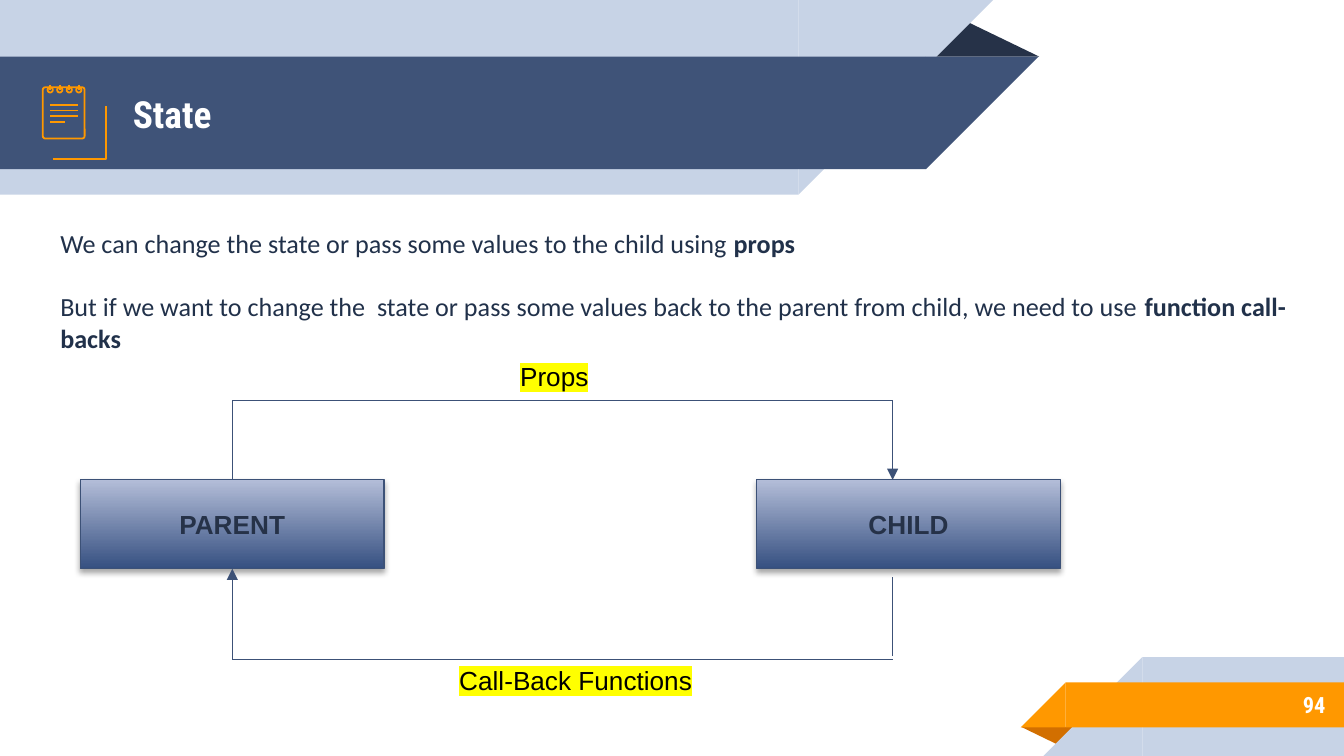
from lxml import etree
from pptx import Presentation
from pptx.dml.color import RGBColor
from pptx.enum.shapes import MSO_CONNECTOR, MSO_SHAPE
from pptx.enum.text import MSO_ANCHOR, PP_ALIGN
from pptx.oxml.ns import qn
from pptx.util import Cm, Pt

RECT, OVAL, ROUND = MSO_SHAPE.RECTANGLE, MSO_SHAPE.OVAL, MSO_SHAPE.ROUNDED_RECTANGLE
CORNER, FOLD = MSO_SHAPE.RIGHT_TRIANGLE, MSO_SHAPE.ISOSCELES_TRIANGLE
STRAIGHT = MSO_CONNECTOR.STRAIGHT
TOP, MIDDLE = MSO_ANCHOR.TOP, MSO_ANCHOR.MIDDLE
LEFT, CENTER, RIGHT = PP_ALIGN.LEFT, PP_ALIGN.CENTER, PP_ALIGN.RIGHT

PALE = RGBColor(0xC7, 0xD3, 0xE6)
BLUE = RGBColor(0x3F, 0x53, 0x78)
NAVY = RGBColor(0x26, 0x32, 0x48)
ORANGE = RGBColor(0xFF, 0x98, 0x00)
RUST = RGBColor(0xD2, 0x6F, 0x00)
INK = RGBColor(0x21, 0x31, 0x4A)
EDGE = RGBColor(0x3C, 0x51, 0x77)
DEEP = RGBColor(0x36, 0x50, 0x81)
MIST = RGBColor(0xB3, 0xBD, 0xD8)
WHITE = RGBColor(0xFF, 0xFF, 0xFF)
BLACK = RGBColor(0, 0, 0)

HEAD = "Roboto Condensed"

# Content: lengths in cm
FOLDS = [(17.48, 0.36, 2.16, 0.71, 0, NAVY), (19.3, 13.74, 1.09, 0.36, 180, RUST)]
# left, top, width, height, colour, slanted end on the right?
BANDS = [
    [(0, 0, 15.09, 3.68, PALE, True), (0, 1.07, 17.5, 2.13, BLUE, True)],
    [(21.59, 12.42, 3.81, 1.87, PALE, False), (20.14, 12.9, 5.26, 0.85, ORANGE, False)],
]
BODY = [
    [("We can change the state or pass some values to the child using ", False),
     ("props", True)],
    [("But if we want to change the  state or pass some values back to the parent "
      "from child, we need to use ", False), ("function call-backs", True)],
]
NODES = [("PARENT", 1.52), ("CHILD", 14.3)]
NODE_Y, NODE_W, NODE_H = 9.07, 5.74, 1.68
LABELS = [("Props", 9.58, 6.68, 2.72), ("Call-Back Functions", 8.43, 12.42, 6.15)]
BACK = [(0.89, 2.67), (0.94, 2.72), (1.65, 2.72), (1.68, 2.67), (1.68, 1.78), (1.65, 1.75)]

prs = Presentation()
prs.slide_width, prs.slide_height = Cm(25.4), Cm(14.29)
slide = prs.slides.add_slide(prs.slide_layouts[6])
shapes = slide.shapes


def shape(kind, x, y, w, h, fill=None, turn=0):
    item = shapes.add_shape(kind, Cm(x), Cm(y), Cm(w), Cm(h))
    item.shadow.inherit = False
    item.rotation = turn
    if fill is None:
        item.fill.background()
    else:
        item.fill.solid()
        item.fill.fore_color.rgb = fill
        item.line.fill.background()
    return item


def stroke(item, color, width):
    item.line.color.rgb = color
    item.line.width = Pt(width)


def line(x1, y1, x2, y2, color=EDGE, width=0.75, arrow=False):
    item = shapes.add_connector(STRAIGHT, Cm(x1), Cm(y1), Cm(x2), Cm(y2))
    stroke(item, color, width)
    if arrow:
        etree.SubElement(item.line._get_or_add_ln(), qn("a:tailEnd"), type="triangle")
    etree.SubElement(item._element.spPr, qn("a:effectLst"))
    return item


def style(para, size, face, color, bold=None, align=LEFT):
    para.alignment = align
    font = para.font
    font.size, font.name, font.bold = Pt(size), face, bold
    font.color.rgb = color


def box(x, y, w, h, anchor=TOP, inset=0.13):
    frame = shapes.add_textbox(Cm(x), Cm(y), Cm(w), Cm(h)).text_frame
    frame.word_wrap = True
    frame.vertical_anchor = anchor
    frame.margin_top = frame.margin_bottom = Cm(inset)
    return frame


# Ribbons at the top and bottom
for fold, bands in zip(FOLDS, BANDS):
    shape(FOLD, *fold[:4], fold[5], fold[4]).adjustments[0] = 0.32
    for x, y, w, h, color, right in bands:
        shape(RECT, x, y, w, h, color)
        shape(CORNER, x + w if right else x - h, y, h, h, color, 90 if right else 270)

# Title and page number
for text, place, size, align in [("State", (2.26, 1.09, 14.6, 2.13), 20, LEFT),
                                 ("94", (21.16, 12.88, 4.14, 0.89), 12, RIGHT)]:
    frame = box(*place, MIDDLE, 0.25)
    frame.text = text
    style(frame.paragraphs[0], size, HEAD, WHITE, True, align)

# Notepad icon
pen = shapes.build_freeform(*BACK[0], scale=Cm(1))
pen.add_line_segments(BACK[1:], close=False)
back = pen.convert_to_shape()
back.shadow.inherit = False
back.fill.background()
page = shape(ROUND, 0.81, 1.65, 0.79, 0.97)
page.adjustments[0] = 0.06
stroke(back, ORANGE, 0.96)
stroke(page, ORANGE, 0.96)
for i in range(4):
    x, y = 0.95 + 0.18 * i, 1.98 + 0.11 * i
    stroke(shape(OVAL, x - 0.05, 1.65, 0.1, 0.1), ORANGE, 0.96)
    line(x, 1.6, x, 1.7, ORANGE, 0.96)
    line(0.95, y, 1.22 if i == 3 else 1.47, y, ORANGE, 0.96)

# Body text
frame = box(0.89, 4.17, 24.26, 5.64)
for i, parts in enumerate(BODY):
    para = frame.add_paragraph() if i else frame.paragraphs[0]
    style(para, 14, "Calibri", INK)
    if i:
        para.space_before = Pt(17)
    for text, bold in parts:
        run = para.add_run()
        run.text = text
        run.font.bold = bold

# Parent and child
nodes = []
for text, x in NODES:
    node = shape(RECT, x, NODE_Y, NODE_W, NODE_H)
    node.fill.gradient()
    node.fill.gradient_angle = 90
    for stop, color in zip(node.fill.gradient_stops, (DEEP, MIST)):
        stop.color.rgb = color
    stroke(node, EDGE, 0.75)
    cast = etree.SubElement(node._element.spPr.find(qn("a:effectLst")), qn("a:outerShdw"),
                            blurRad="40000", dist="23000", dir="5400000", rotWithShape="0")
    tint = etree.SubElement(cast, qn("a:srgbClr"), val="000000")
    etree.SubElement(tint, qn("a:alpha"), val="35000")
    node.text_frame.text = text
    node.text_frame.vertical_anchor = MIDDLE
    style(node.text_frame.paragraphs[0], 14, "Arial", NAVY, True, CENTER)
    nodes.append(node)

# Loop between them
x1, x2 = NODES[0][1] + NODE_W / 2, 16.87
high, low, foot = 7.57, 12.47, NODE_Y + NODE_H
line(x1, NODE_Y, x1, high).begin_connect(nodes[0], 0)
line(x1, high, x2, high)
line(x2, high, x2, NODE_Y, arrow=True)
line(x2, 12.4, x2, 10.9)
line(x1, low, x1, foot, arrow=True).end_connect(nodes[0], 2)
line(x1, low, x2, low)

# Highlighted labels
for text, x, y, w in LABELS:
    frame = box(x, y, w, 0.86)
    frame.text = text
    para = frame.paragraphs[0]
    style(para, 14, "Arial", BLACK)
    mark = etree.SubElement(para.runs[0]._r.get_or_add_rPr(), qn("a:highlight"))
    etree.SubElement(mark, qn("a:srgbClr"), val="FFFF00")

prs.save("out.pptx")
